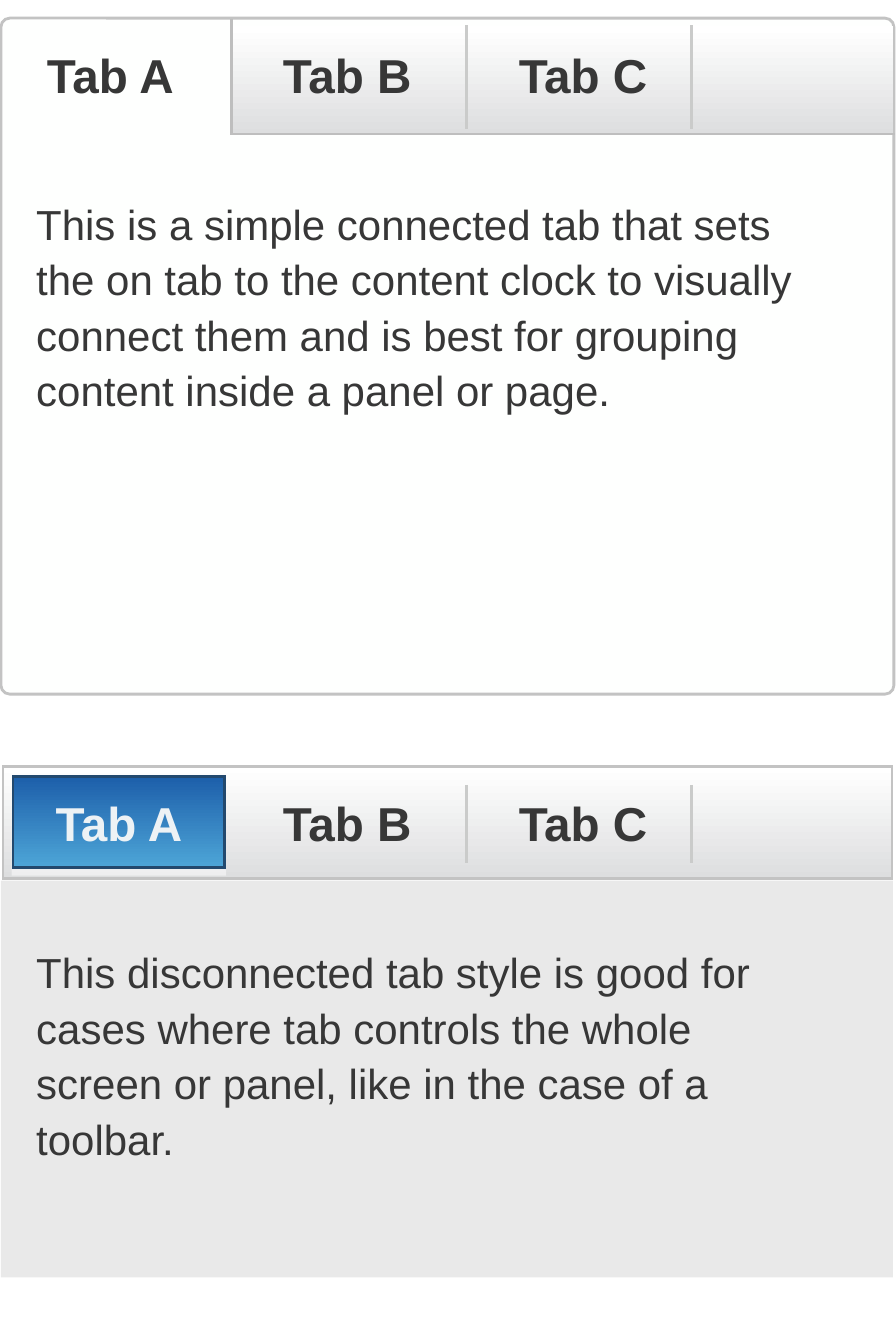
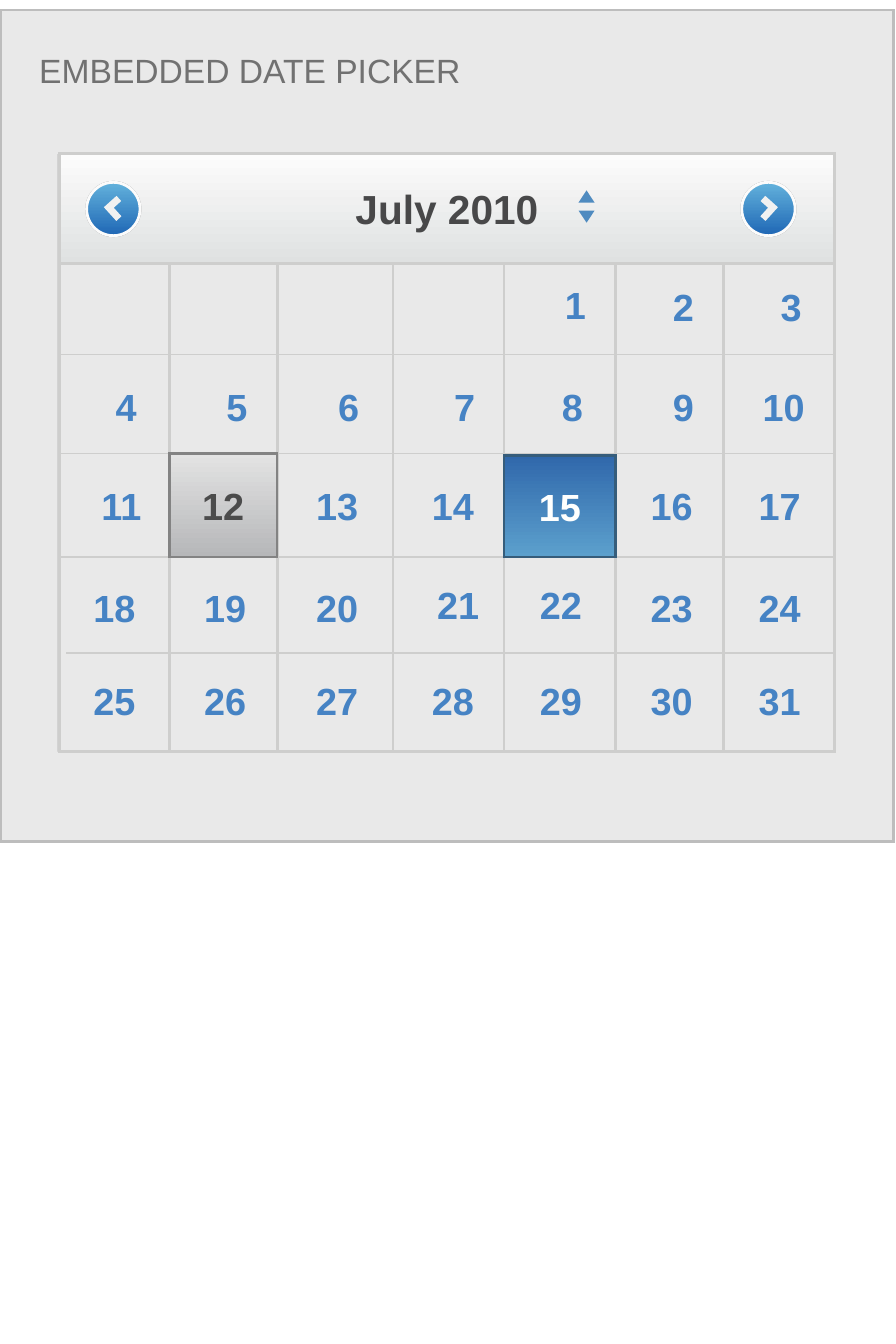
from lxml import etree
from pptx import Presentation
from pptx.dml.color import RGBColor
from pptx.enum.shapes import MSO_CONNECTOR, MSO_SHAPE
from pptx.enum.text import MSO_ANCHOR, PP_ALIGN
from pptx.oxml.ns import qn
from pptx.util import Inches, Pt

RECT = MSO_SHAPE.RECTANGLE
ROUNDED = MSO_SHAPE.ROUNDED_RECTANGLE
OVAL = MSO_SHAPE.OVAL
TRIANGLE = MSO_SHAPE.ISOSCELES_TRIANGLE
STRAIGHT = MSO_CONNECTOR.STRAIGHT
MIDDLE, TOP = MSO_ANCHOR.MIDDLE, MSO_ANCHOR.TOP
LEFT, CENTER = PP_ALIGN.LEFT, PP_ALIGN.CENTER

FONT = "Arial"
INK = "373737"
PANEL = "E9E9E9"
OUTLINE = "C3C3C3"
DIVIDER = "CACBCA"
GRID = "CECECD"
DAY_BLUE = "4683C4"
STRIP = ("FFFFFF", "DDDEDF")
GLOSSY_BLUE = ("63B2DC", "1F67B5")
SOFT_SHADOW = ("000000", 40, 0)

TAB_LEFTS = {"Tab A": 0.44, "Tab B": 2.79, "Tab C": 5.13}
COLUMN_EDGES = [0.59, 1.68, 2.75, 3.9, 5, 6.11, 7.18, 8.28]
ROW_EDGES = [2.61, 3.52, 4.5, 5.53, 6.48, 7.46]
DAY_LEFTS = [0.7, 1.8, 2.91, 4.06, 5.13, 6.23, 7.3]
DAY_TOPS = [2.61, 3.6, 4.59, 5.6, 6.52]
DAY_NUDGES = {1: (0.03, -0.02), 10: (0.04, 0), 11: (0.07, 0),
              21: (0.05, -0.03), 22: (0, -0.03)}
FIRST_WEEKDAY = 4
LAST_DAY = 31
HIGHLIGHTED = {
    12: (("E3E3E3", "B6B7B9"), "838383", "4C4C4C", 0),
    15: (("3068AB", "5CA0CD"), "365D7B", "FEFFFE", 0.02),
}


def rgb(value):
    return RGBColor.from_string(value)


def paint(target, fill):
    if fill is None:
        target.fill.background()
    elif isinstance(fill, tuple):
        target.fill.gradient()
        target.fill.gradient_angle = 270
        for stop, color in zip(target.fill.gradient_stops, fill):
            stop.color.rgb = rgb(color)
    else:
        target.fill.solid()
        target.fill.fore_color.rgb = rgb(fill)


def outline(target, color, width=2):
    if color is None:
        target.line.fill.background()
    else:
        target.line.color.rgb = rgb(color)
        target.line.width = Pt(width)
        stroke = target._element.spPr.find(qn("a:ln"))
        etree.SubElement(stroke, qn("a:miter"), lim="800000")


def cast_shadow(shape, color, opacity, distance):
    effects = shape._element.spPr.find(qn("a:effectLst"))
    shadow = etree.SubElement(effects, qn("a:outerShdw"), blurRad="0",
                              dist=str(Pt(distance)), dir="5400000",
                              algn="ctr", rotWithShape="0")
    tint = etree.SubElement(shadow, qn("a:srgbClr"), val=color)
    etree.SubElement(tint, qn("a:alpha"), val=str(opacity * 1000))


def add_box(shapes, left, top, width, height, fill, line=None, kind=RECT,
            shadow=None):
    box = shapes.add_shape(kind, Inches(left), Inches(top),
                           Inches(width), Inches(height))
    box.shadow.inherit = False
    paint(box, fill)
    outline(box, line)
    if shadow:
        cast_shadow(box, *shadow)
    return box


def write(shape, text, size, color=INK, bold=True, align=CENTER,
          anchor=MIDDLE, wrap=True, spacing=None, left=0, top=0):
    frame = shape.text_frame
    frame.text = text
    frame.word_wrap = wrap
    frame.vertical_anchor = anchor
    frame.margin_left, frame.margin_top = Inches(left), Inches(top)
    frame.margin_right = frame.margin_bottom = 0
    for paragraph in frame.paragraphs:
        paragraph.alignment = align
        if spacing:
            paragraph.line_spacing = spacing
        for run in paragraph.runs:
            run.font.name = FONT
            run.font.size = Pt(size)
            run.font.bold = bold
            run.font.color.rgb = rgb(color)


def add_text(shapes, left, top, width, height, text, size, **style):
    box = shapes.add_textbox(Inches(left), Inches(top),
                             Inches(width), Inches(height))
    write(box, text, size, **style)


def add_rule(shapes, start_x, start_y, end_x, end_y, color, width=2):
    rule = shapes.add_connector(STRAIGHT, Inches(start_x), Inches(start_y),
                                Inches(end_x), Inches(end_y))
    outline(rule, color, width)
    etree.SubElement(rule._element.spPr, qn("a:effectLst"))


def add_open_path(shapes, points, color, width):
    corners = [(Inches(x), Inches(y)) for x, y in points]
    builder = shapes.build_freeform(*corners[0], scale=1.0)
    builder.add_line_segments(corners[1:], close=False)
    stroke = builder.convert_to_shape()
    stroke.shadow.inherit = False
    paint(stroke, None)
    outline(stroke, color, width)


def add_tab_labels(shapes, labels, top):
    for label in labels:
        add_text(shapes, TAB_LEFTS[label], top, 1.31, 0.57, label, 34,
                 wrap=False)


def add_tab_dividers(shapes, top, bottom):
    for x in (4.63, 6.86):
        add_rule(shapes, x, top, x, bottom, DIVIDER)


def add_body(shapes, top, lines):
    add_text(shapes, 0.36, top, 7.9, 2.26, "\n".join(lines), 30,
             bold=False, align=LEFT, spacing=1.1)


def add_connected_tabs(shapes):
    card = add_box(shapes, 0.01, 0.18, 8.86, 6.71, "FEFFFE", OUTLINE, ROUNDED)
    card.adjustments[0] = 0.013
    add_box(shapes, 2.29, 0.26, 6.57, 1.08, STRIP)
    add_tab_labels(shapes, TAB_LEFTS, 0.45)
    add_body(shapes, 1.89, [
        "This is a simple connected tab that sets",
        "the on tab to the content clock to visually",
        "connect them and is best for grouping",
        "content inside a panel or page.",
    ])
    add_open_path(shapes, [(2.3, 0.19), (2.3, 1.33), (8.88, 1.33)],
                  "BEBEBE", 2)
    add_tab_dividers(shapes, 0.25, 1.28)


def add_disconnected_tabs(shapes):
    add_box(shapes, 0.01, 8.74, 8.85, 3.94, PANEL)
    add_box(shapes, 0.03, 7.61, 8.82, 1.11, STRIP, OUTLINE)
    add_tab_labels(shapes, ["Tab B", "Tab C"], 7.88)
    add_body(shapes, 9.32, [
        "This disconnected tab style is good for",
        "cases where tab controls the whole",
        "screen or panel, like in the case of a",
        "toolbar.",
    ])
    add_tab_dividers(shapes, 7.79, 8.57)
    active_tab = add_box(shapes, 0.13, 7.71, 2.1, 0.9, ("1D5FAA", "4DA5D7"),
                         "23496E", shadow=("FFFFFF", 50, 5))
    write(active_tab, "Tab A", 34, color="EDF2F5")


def add_day(shapes, day, week, weekday):
    shift_x, shift_y = DAY_NUDGES.get(day, (0, 0))
    inset, width = (0.24, 0.62) if day < 10 else (0, 0.87)
    add_text(shapes, DAY_LEFTS[weekday] + inset + shift_x,
             DAY_TOPS[week] + shift_y, width, 0.86, str(day), 27,
             color=DAY_BLUE)


def add_highlighted_day(shapes, day, week, weekday):
    fill, line, color, drop = HIGHLIGHTED[day]
    left, right = COLUMN_EDGES[weekday:weekday + 2]
    top, bottom = ROW_EDGES[week:week + 2]
    marker = add_box(shapes, left, top + drop, right - left,
                     bottom - top - drop, fill, line)
    write(marker, str(day), 27, color=color)


def add_month_grid(shapes):
    for x in COLUMN_EDGES:
        add_rule(shapes, x, ROW_EDGES[0], x, 7.47, GRID)
    places = {day: divmod(day - 1 + FIRST_WEEKDAY, len(DAY_LEFTS))
              for day in range(1, LAST_DAY + 1)}
    for day, place in places.items():
        if day not in HIGHLIGHTED:
            add_day(shapes, day, *place)
    for y in ROW_EDGES:
        start = 0.65 if y == ROW_EDGES[-2] else 0.58
        add_rule(shapes, 8.29, y, start, y, GRID,
                 2 if y == ROW_EDGES[-1] else 1)
    for day in HIGHLIGHTED:
        add_highlighted_day(shapes, day, *places[day])


def add_month_button(shapes, left, tail, tip):
    button = shapes.add_group_shape().shapes
    add_box(button, left, 1.81, 0.53, 0.53, GLOSSY_BLUE, "FBFBFB", OVAL,
            SOFT_SHADOW)
    add_open_path(button, [(tail, 1.97), (tip, 2.06), (tail, 2.17)],
                  "F1F1F1", 5)


def add_month_stepper(shapes):
    stepper = shapes.add_group_shape().shapes
    for top, rotation in ((1.89, 0), (2.09, 180)):
        arrow = add_box(stepper, 5.74, top, 0.16, 0.12, "4F8BC0",
                        kind=TRIANGLE)
        arrow.rotation = rotation


def add_date_picker(shapes):
    panel = add_box(shapes, 0.01, 0.1, 8.86, 8.25, PANEL, "BDBDBD",
                    shadow=("FFFFFF", 70, 2))
    write(panel, "EMBEDDED DATE PICKER", 24, color="717171", bold=False,
          align=LEFT, anchor=TOP, left=0.38, top=0.4)
    add_box(shapes, 0.57, 1.53, 7.71, 5.93, PANEL, shadow=SOFT_SHADOW)
    header = add_box(shapes, 0.59, 1.52, 7.69, 1.1, ("FCFCFC", "DFE1E1"), GRID)
    write(header, "July 2010", 29, color="484849")
    add_month_stepper(shapes)
    add_month_grid(shapes)
    add_month_button(shapes, 7.36, 7.57, 7.67)
    add_month_button(shapes, 0.86, 1.18, 1.08)


def main():
    deck = Presentation()
    deck.slide_width, deck.slide_height = Inches(8.89), Inches(13.34)
    blank = deck.slide_layouts[6]
    tabs = deck.slides.add_slide(blank).shapes
    add_connected_tabs(tabs)
    add_disconnected_tabs(tabs)
    add_date_picker(deck.slides.add_slide(blank).shapes)
    deck.save("out.pptx")


if __name__ == "__main__":
    main()
